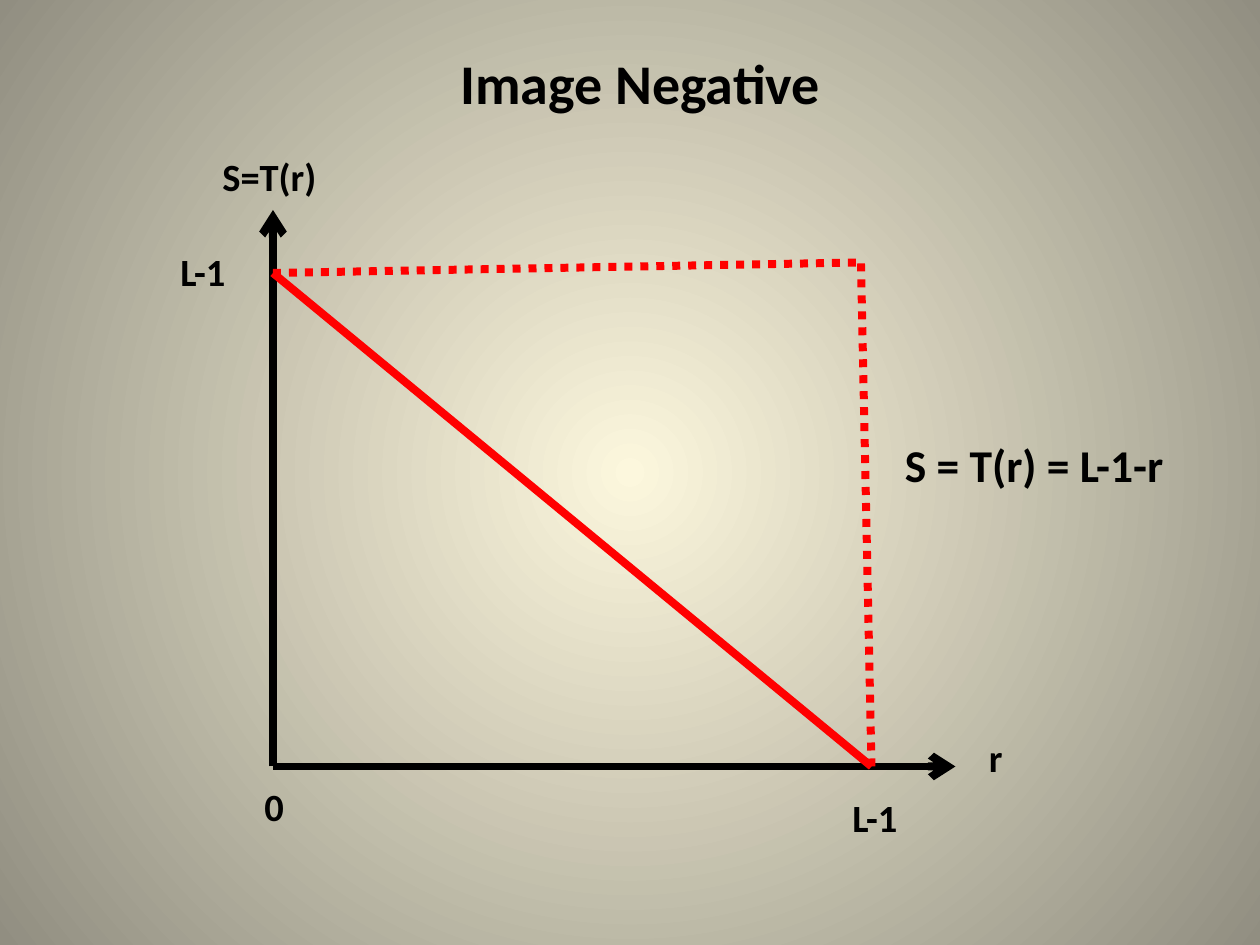
from lxml import etree
from pptx import Presentation
from pptx.dml.color import RGBColor
from pptx.enum.dml import MSO_LINE
from pptx.enum.shapes import MSO_CONNECTOR
from pptx.enum.text import MSO_ANCHOR, PP_ALIGN
from pptx.oxml.ns import qn
from pptx.util import Pt

STRAIGHT = MSO_CONNECTOR.STRAIGHT
DOTTED = MSO_LINE.ROUND_DOT  # stored as sysDot
MIDDLE, TOP = MSO_ANCHOR.MIDDLE, MSO_ANCHOR.TOP
CENTER, LEFT = PP_ALIGN.CENTER, PP_ALIGN.LEFT

FONT = "Calibri"
COLORS = {"ink": "000000", "curve": "FF0000", "center": "FCF7DD", "edge": "918E81"}


def color(name):
    return RGBColor.from_string(COLORS[name])


def add_background(slide):
    fill = slide.background.fill
    fill.gradient()
    for stop, name in zip(fill.gradient_stops, ("center", "edge")):
        stop.color.rgb = color(name)
    # Turn the linear gradient into a circular one
    lin = next(slide.background._cSld.iter(qn("a:lin")))
    circle = etree.Element(qn("a:path"), path="circle")
    etree.SubElement(circle, qn("a:fillToRect"), l="50000", t="50000", r="50000", b="50000")
    lin.getparent().replace(lin, circle)


def add_text(slide, text, x, y, w, h, size, align=LEFT, anchor=TOP):
    s = slide.shapes.add_textbox(Pt(x), Pt(y), Pt(w), Pt(h))
    tf = s.text_frame
    tf.word_wrap = True
    tf.vertical_anchor = anchor
    p = tf.paragraphs[0]
    p.alignment = align
    r = p.add_run()
    r.text = text
    r.font.name = FONT
    r.font.size = Pt(size)
    r.font.bold = True
    r.font.color.rgb = color("ink")


def add_line(slide, start, end, name, width, dash=None, arrow=False):
    s = slide.shapes.add_connector(STRAIGHT, *(Pt(v) for v in start + end))
    s.line.color.rgb = color(name)
    s.line.width = Pt(width)
    if dash:
        s.line.dash_style = dash
    if arrow:
        etree.SubElement(s.line._get_or_add_ln(), qn("a:tailEnd"), type="arrow")
    etree.SubElement(s._element.spPr, qn("a:effectLst"))


def add_title(slide, x, y, w, h):
    add_text(slide, "Image Negative", x, y, w, h, 32, CENTER, MIDDLE)


def add_graph(slide, x, y):
    def at(dx, dy):
        return x + dx, y + dy

    origin, start, end, corner = at(60, 354), at(60, 72), at(402, 354), at(396, 66)

    # Axes
    for tip in (at(60, 36), at(450, 354)):
        add_line(slide, origin, tip, "ink", 4.5, arrow=True)

    # Transformation line and dotted guides
    add_line(slide, start, end, "curve", 4.55)
    for point in (start, end):
        add_line(slide, point, corner, "curve", 4.55, DOTTED)

    # Axis labels
    for text, dx, dy, w in (
        ("0", 48, 360, 30),
        ("L-1", 384, 366, 54),
        ("r", 462, 332, 54),
        ("L-1", 0, 54, 54),
        ("S=T(r)", 24, 0, 90),
    ):
        add_text(slide, text, *at(dx, dy), w, 34, 22)

    # Formula
    add_text(slide, "S = T(r) = L-1-r", *at(414, 162), 204, 39, 26)


def main():
    prs = Presentation()
    prs.slide_width, prs.slide_height = Pt(720), Pt(540)
    slide = prs.slides.add_slide(prs.slide_layouts[6])
    add_background(slide)
    add_title(slide, 36, 21.6, 660, 50.4)
    add_graph(slide, 96, 84)
    prs.save("out.pptx")


if __name__ == "__main__":
    main()
